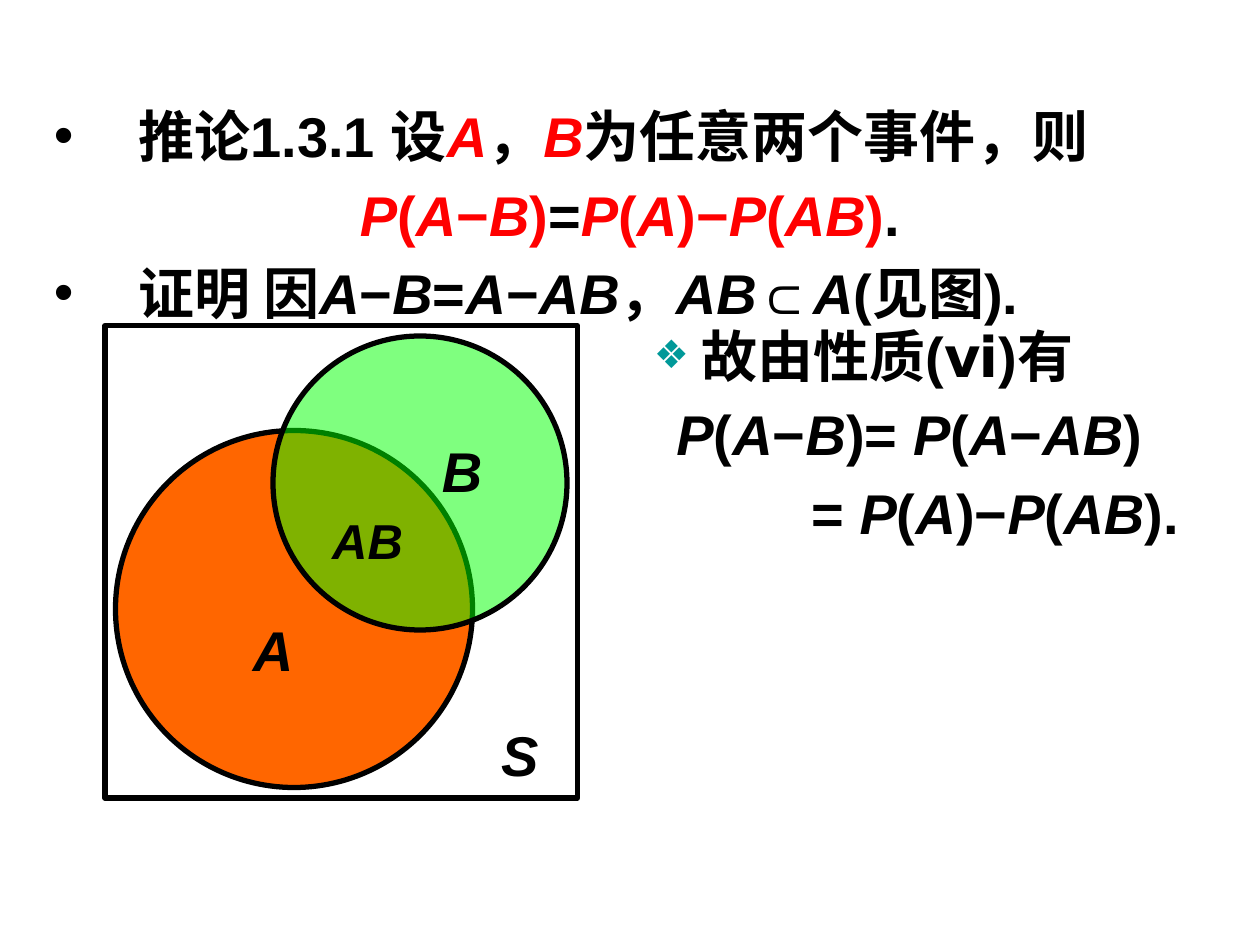
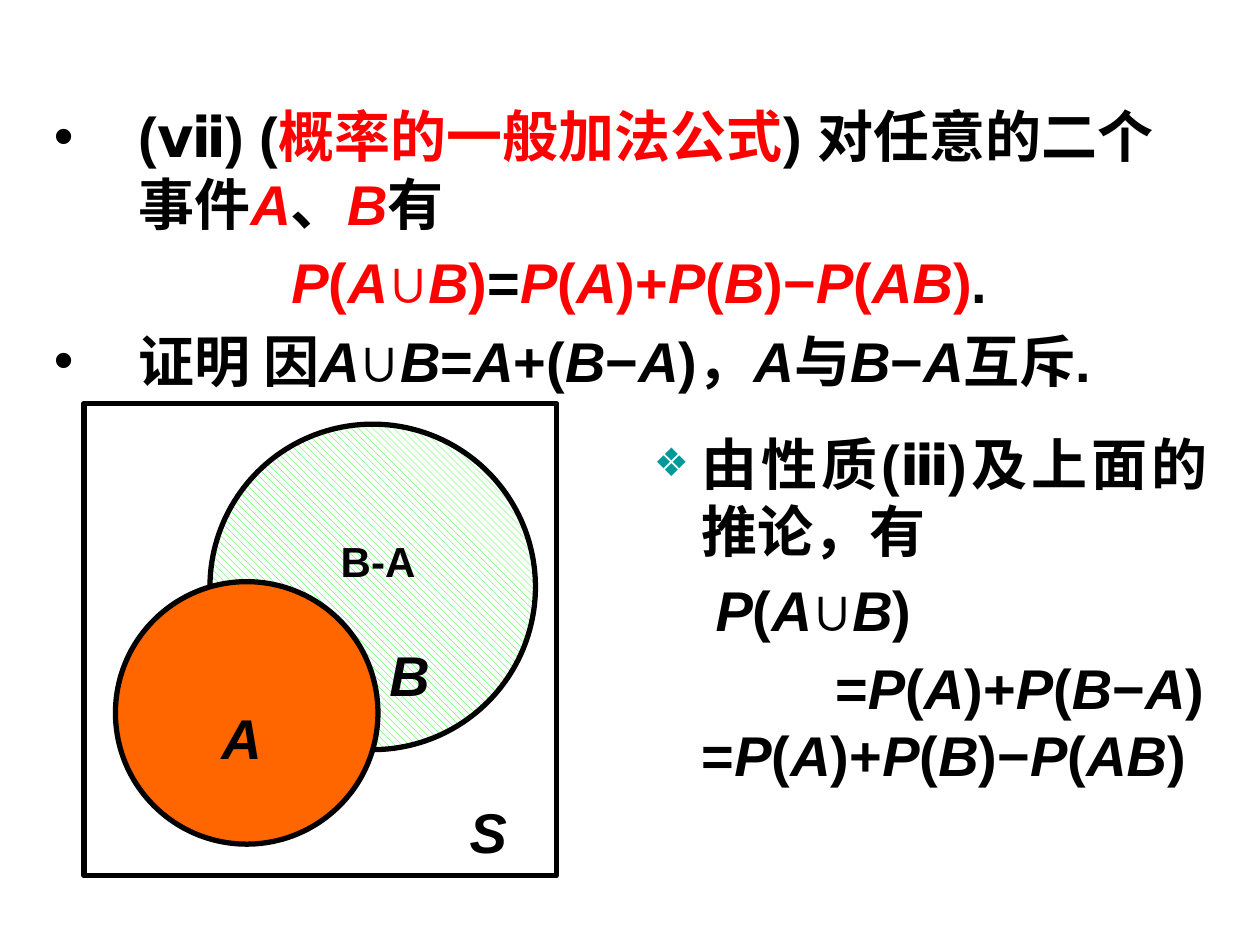
from itertools import groupby

from lxml.etree import SubElement
from pptx import Presentation
from pptx.dml.color import RGBColor
from pptx.enum.dml import MSO_PATTERN
from pptx.enum.shapes import MSO_SHAPE
from pptx.enum.text import PP_ALIGN
from pptx.oxml.ns import qn
from pptx.util import Inches, Pt

BLACK = RGBColor(0, 0, 0)
WHITE = RGBColor(255, 255, 255)
RED = RGBColor(255, 0, 0)
ORANGE = RGBColor(255, 102, 0)
GREEN = RGBColor(0, 255, 0)
TEAL = RGBColor(0, 153, 153)

LATIN, CHINESE = "Arial", "Noto Sans CJK SC"
VARIABLES = "ABPS"
BODY_SIZE = 32
FRAME_SIDE = 45
LEFT, CENTER, JUSTIFY = PP_ALIGN.LEFT, PP_ALIGN.CENTER, PP_ALIGN.JUSTIFY

DOT = ("•", None, None)
DIAMOND = ("❖", TEAL, 70)
STATEMENT_INDENT = (0.67, -0.67)
PROOF_INDENT = (0.38, -0.38)

# {braces} = red; indents in inches; diagram units = 1/12 inch from the frame corner
SLIDES = [
    {
        "statement": (0.76, 1.97, [
            ("推论1.3.1 设{A}，{B}为任意两个事件，则", DOT, LEFT, STATEMENT_INDENT),
            ("{P(A−B)}={P(A)−P(AB)}.", None, CENTER, STATEMENT_INDENT),
            ("证明 因A−B=A−AB，AB⊂A(见图).", DOT, JUSTIFY, STATEMENT_INDENT),
        ]),
        "frame": (10, 31),
        "diagram": [
            ("label", 36, 37, 7, "S", 32),
            ("solid", 1, 10, 34),
            ("label", 11, 27, 10, "A", 32),
            ("clear", 16, 1, 28),
            ("label", 30, 10, 8, "B", 32),
            ("label", 20, 17, 10, "AB", 28),
        ],
        "proof": (2.5, 3.92, [
            ("故由性质(ⅵ)有", DIAMOND, JUSTIFY, PROOF_INDENT),
            ("P(A−B)= P(A−AB)", None, LEFT, (0.18, 0)),
            ("= P(A)−P(AB).", None, LEFT, (1.25, 0)),
        ]),
    },
    {
        "statement": (0.76, 2.52, [
            ("(ⅶ) ({概率的一般加法公式}) 对任意的二个事件{A}、{B}有",
             DOT, LEFT, STATEMENT_INDENT),
            ("{P(A∪B)}={P(A)+P(B)−P(AB)}.", None, CENTER, (0.75, -0.6)),
            ("证明 因A∪B=A+(B−A)，A与B−A互斥.", DOT, LEFT, STATEMENT_INDENT),
        ]),
        "frame": (8, 38.4),
        "diagram": [
            ("label", 35, 37, 7, "S", 32),
            ("hatched", 12, 2, 31),
            ("label", 27, 22, 8, "B", 32),
            ("solid", 3, 17, 25),
            ("label", 10, 28, 10, "A", 32),
            ("label", 23, 12, 10, "B-A", 24),
        ],
        "proof": (3.36, 3.06, [
            ("由性质(ⅲ)及上面的推论，有", DIAMOND, JUSTIFY, PROOF_INDENT),
            ("P(A∪B)", None, JUSTIFY, (0.49, 0)),
            ("=P(A)+P(B−A) =P(A)+P(B)−P(AB)", None, JUSTIFY, (0.38, 1.06)),
        ]),
    },
]


def twelfths(count):
    return Inches(count / 12)


def write_math(paragraph, text, size):
    for index, part in enumerate(text.replace("}", "{").split("{")):
        for is_variable, letters in groupby(part, lambda letter: letter in VARIABLES):
            run = paragraph.add_run()
            run.text = "".join(letters)
            run.font.name = LATIN
            run.font.size = Pt(size)
            run.font.bold = True
            run.font.italic = is_variable and "-" not in text
            run.font.color.rgb = RED if index % 2 else BLACK
            SubElement(run.font._element, qn("a:ea")).set("typeface", CHINESE)


def set_bullet(properties, bullet):
    if bullet is None:
        SubElement(properties, qn("a:buNone"))
        return
    mark, color, percent = bullet
    if color is not None:
        SubElement(SubElement(properties, qn("a:buClr")), qn("a:srgbClr")).set("val", str(color))
        SubElement(properties, qn("a:buSzPct")).set("val", str(percent * 1000))
    SubElement(properties, qn("a:buFont")).set("typeface", LATIN)
    SubElement(properties, qn("a:buChar")).set("char", mark)


def add_passage(slide, left, width, passage):
    top, height, lines = passage
    frame = slide.shapes.add_textbox(
        Inches(left), Inches(top), Inches(width), Inches(height)).text_frame
    frame.word_wrap = True
    for index, (text, bullet, align, (margin, first)) in enumerate(lines):
        paragraph = frame.add_paragraph() if index else frame.paragraphs[0]
        paragraph.alignment = align
        paragraph.space_before = Pt(BODY_SIZE * 0.2)
        properties = paragraph._p.get_or_add_pPr()
        properties.set("marL", str(Inches(margin)))
        properties.set("indent", str(Inches(first)))
        set_bullet(properties, bullet)
        write_math(paragraph, text, BODY_SIZE)


def add_region(group, preset, kind, left, top, side):
    region = group.shapes.add_shape(
        preset, twelfths(left), twelfths(top), twelfths(side), twelfths(side))
    region.shadow.inherit = False
    region.line.color.rgb = BLACK
    region.line.width = Pt(3)
    if kind == "hatched":
        region.fill.patterned()
        region.fill.pattern = MSO_PATTERN.WIDE_DOWNWARD_DIAGONAL
        region.fill.fore_color.rgb = GREEN
        region.fill.back_color.rgb = WHITE
        return
    region.fill.solid()
    region.fill.fore_color.rgb = {"frame": WHITE, "solid": ORANGE, "clear": GREEN}[kind]
    if kind == "clear":
        color = region._element.spPr.find(qn("a:solidFill")).find(qn("a:srgbClr"))
        SubElement(color, qn("a:alpha")).set("val", "50000")


def add_label(group, left, top, width, text, size):
    label = group.shapes.add_textbox(
        twelfths(left), twelfths(top), twelfths(width), Pt(size * 1.2 + 7.2))
    label.text_frame.word_wrap = True
    paragraph = label.text_frame.paragraphs[0]
    paragraph.alignment = CENTER
    write_math(paragraph, text, size)


def add_diagram(slide, corner, parts):
    group = slide.shapes.add_group_shape()
    add_region(group, MSO_SHAPE.RECTANGLE, "frame", *corner, FRAME_SIDE)
    for kind, across, down, width, *caption in parts:
        left, top = corner[0] + across, corner[1] + down
        if kind == "label":
            add_label(group, left, top, width, *caption)
        else:
            add_region(group, MSO_SHAPE.OVAL, kind, left, top, width)


deck = Presentation()
deck.slide_width, deck.slide_height = Inches(10), Inches(7.5)
for content in SLIDES:
    slide = deck.slides.add_slide(deck.slide_layouts[6])
    add_passage(slide, 0.33, 9.34, content["statement"])
    add_diagram(slide, content["frame"], content["diagram"])
    add_passage(slide, 5.09, 4.59, content["proof"])
deck.save("out.pptx")
